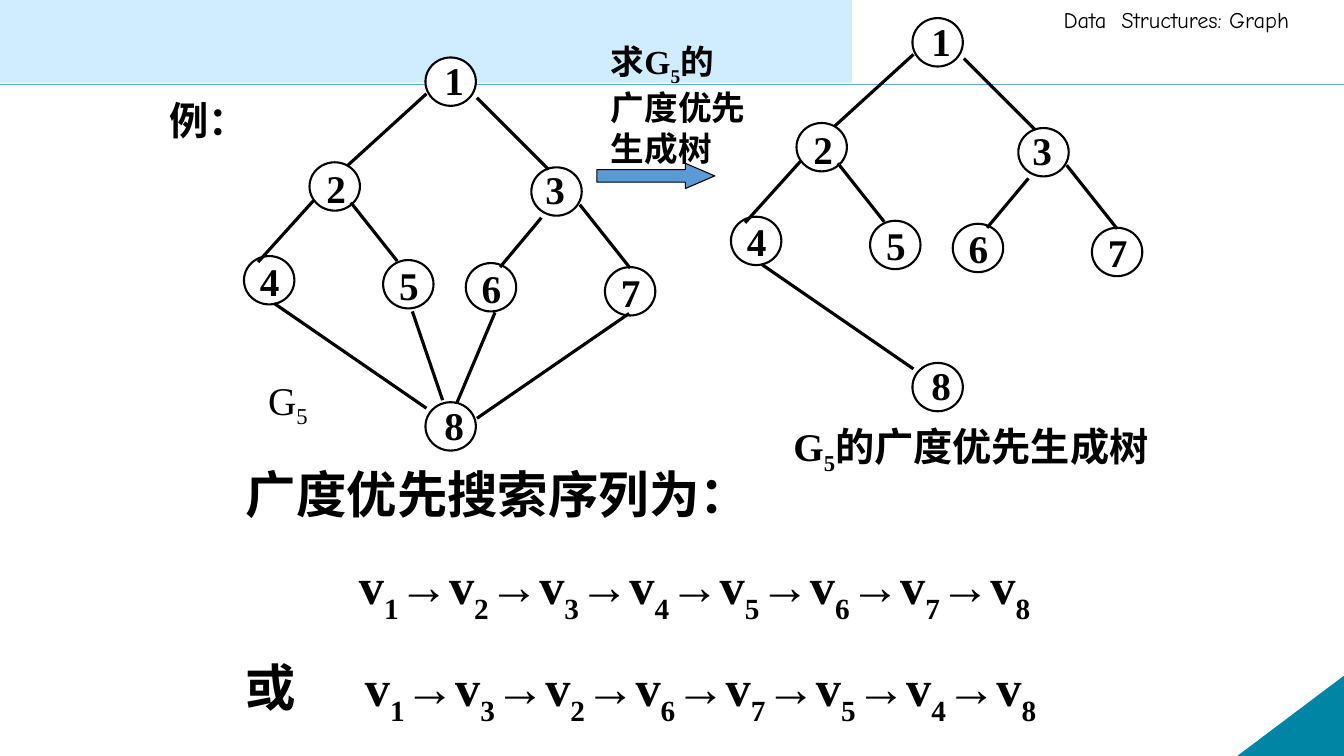
from dataclasses import dataclass

from lxml import etree
from pptx import Presentation
from pptx.dml.color import RGBColor
from pptx.enum.shapes import MSO_CONNECTOR, MSO_SHAPE as SHAPE
from pptx.enum.text import PP_ALIGN
from pptx.oxml.ns import qn
from pptx.util import Inches, Pt


@dataclass(frozen=True)
class Theme:
    black: str = "000000"
    white: str = "FFFFFF"
    band: str = "CFEDFE"
    rule: str = "5AAAED"
    corner: str = "0085A4"
    arrow: str = "5B9BD5"
    serif: str = "Times New Roman"
    sans: str = "Calibri"
    header: str = "Comic Neue"
    small: int = 16
    note: int = 24
    label: int = 28
    large: int = 36


T = Theme()

# Node number: x, y in the graph box, then the label's shift from the circle
NODES = {
    1: (1.8, 0, 0.09, -0.06),
    2: (0.65, 1.04, 0.07, -0.03),
    3: (2.85, 1.09, 0.04, -0.07),
    4: (0, 1.97, 0.06, -0.04),
    5: (1.38, 2.01, 0.06, -0.04),
    6: (2.2, 2.04, 0.06, -0.04),
    7: (3.58, 2.08, 0.06, -0.04),
    8: (1.8, 3.42, 0.09, -0.06),
}
# Line ends in the graph box
TREE_EDGES = [
    (1.81, 0.36, 1.03, 1.07),
    (2.31, 0.4, 3.02, 1.11),
    (0.69, 1.42, 0.14, 2.03),
    (1.06, 1.44, 1.52, 2.02),
    (2.95, 1.59, 2.54, 2.08),
    (3.33, 1.46, 3.83, 2.09),
    (0.3, 2.44, 1.81, 3.48),
]
CROSS_EDGES = [
    (1.67, 2.52, 1.97, 3.4),
    (2.49, 2.53, 2.11, 3.43),
    (3.82, 2.54, 2.31, 3.58),
]


def add_box(s, kind, x, y, w, h, fill, line=None, width=0.75):
    sp = s.shapes.add_shape(kind, Inches(x), Inches(y), Inches(w), Inches(h))
    sp.shadow.inherit = False
    sp.fill.solid()
    sp.fill.fore_color.rgb = RGBColor.from_string(fill)
    if line:
        sp.line.color.rgb = RGBColor.from_string(line)
        sp.line.width = Pt(width)
    else:
        sp.line.fill.background()
    return sp


def add_line(s, x1, y1, x2, y2, color, width):
    ln = s.shapes.add_connector(
        MSO_CONNECTOR.STRAIGHT, Inches(x1), Inches(y1), Inches(x2), Inches(y2))
    ln.line.color.rgb = RGBColor.from_string(color)
    ln.line.width = Pt(width)
    etree.SubElement(ln._element.spPr, qn("a:effectLst"))


def add_run(p, text, size, font=T.serif, bold=True, base=0):
    r = p.add_run()
    r.text = text
    r.font.size = Pt(size)
    r.font.name = font
    r.font.bold = bold
    r.font.color.rgb = RGBColor.from_string(T.black)
    if base:
        r.font._element.set("baseline", str(base * 1000))


def add_text(s, x, y, w, h):
    tf = s.shapes.add_textbox(Inches(x), Inches(y), Inches(w), Inches(h)).text_frame
    tf.word_wrap = True
    return tf


def set_indent(p, left, first):
    pPr = p._p.get_or_add_pPr()
    pPr.set("marL", str(Inches(left)))
    pPr.set("indent", str(Inches(first)))
    return pPr


def add_background(s):
    add_line(s, 0, 0.84, 13.33, 0.84, T.rule, 1)
    corner = add_box(s, SHAPE.RIGHT_TRIANGLE, 12.28, 6.71, 1.05, 0.79, T.corner, T.corner)
    corner._element.spPr.find(qn("a:xfrm")).set("flipH", "1")
    tf = add_text(s, 10.45, 0.01, 2.88, 0.37)
    add_run(tf.paragraphs[0], "Data  Structures: Graph", T.small, T.header, False)
    add_box(s, SHAPE.RECTANGLE, -0.03, -0.07, 8.48, 0.89, T.band)


def add_heading(s, x, y, w, h):
    body = s.placeholders[1]
    body.left, body.top, body.width, body.height = map(Inches, (x, y, w, h))
    p = body.text_frame.paragraphs[0]
    etree.SubElement(set_indent(p, 0.25, -0.25), qn("a:buNone"))
    p.space_before = Pt(0)
    add_run(p, "例：", T.label, T.sans)


def add_graph(s, x, y, edges):
    for nx, ny, _, _ in NODES.values():
        add_box(s, SHAPE.OVAL, x + nx, y + ny, 0.5, 0.48, T.white, T.black, 1.5)
    for x1, y1, x2, y2 in edges:
        add_line(s, x + x1, y + y1, x + x2, y + y2, T.black, 2.25)
    for number, (nx, ny, dx, dy) in NODES.items():
        p = add_text(s, x + nx + dx, y + ny + dy, 0.6, 0.6).paragraphs[0]
        p.alignment = PP_ALIGN.JUSTIFY
        add_run(p, str(number), T.label)


def add_captions(s):
    p = add_text(s, 2.56, 3.68, 0.75, 0.62).paragraphs[0]
    add_run(p, "G", T.label, bold=False)
    add_run(p, "5", T.label, bold=False, base=-25)

    p = add_text(s, 7.77, 4.14, 3.86, 0.57).paragraphs[0]
    add_run(p, "G", T.label)
    add_run(p, "5", T.label, base=-25)
    add_run(p, "的广度优先生成树", T.label, T.sans)


def add_step(s, x, y):
    arrow = add_box(s, SHAPE.RIGHT_ARROW, x, y + 1.26, 1.17, 0.25, T.arrow, T.black)
    arrow.adjustments[1] = 1.17
    tf = add_text(s, x + 0.04, y, 1.65, 1.31)
    lines = [[("求G", 0), ("5", -25), ("的", 0)], [("广度优先", 0)], [("生成树", 0)]]
    for i, runs in enumerate(lines):
        p = tf.add_paragraph() if i else tf.paragraphs[0]
        set_indent(p, 0.38, -0.38)
        for text, base in runs:
            add_run(p, text, T.note, base=base)


def add_sequences(s, x, y, w, h):
    tf = add_text(s, x, y, w, h)
    add_run(tf.paragraphs[0], "广度优先搜索序列为：", T.large)
    for lead, order, left, first in [("", "12345678", 1.12, 0),
                                     ("或\t", "13267548", 1.18, -1.18)]:
        p = tf.add_paragraph()
        set_indent(p, left, first)
        p.space_before = Pt(22)
        for i, number in enumerate(order):
            add_run(p, "→v" if i else lead + "v", T.large)
            add_run(p, number, T.large, base=-30)


def main():
    prs = Presentation()
    prs.slide_width, prs.slide_height = Inches(13.33), Inches(7.5)
    s = prs.slides.add_slide(prs.slide_layouts[1])
    title = s.shapes.title._element
    title.getparent().remove(title)

    add_background(s)
    add_heading(s, 1.58, 0.91, 8.5, 0.67)
    # Graph on the left, its spanning tree on the right
    add_graph(s, 2.42, 0.57, TREE_EDGES + CROSS_EDGES)
    add_graph(s, 7.25, 0.18, TREE_EDGES)
    add_captions(s)
    add_step(s, 5.92, 0.36)
    add_sequences(s, 2.34, 4.54, 8.98, 2.52)
    prs.save("out.pptx")


if __name__ == "__main__":
    main()
